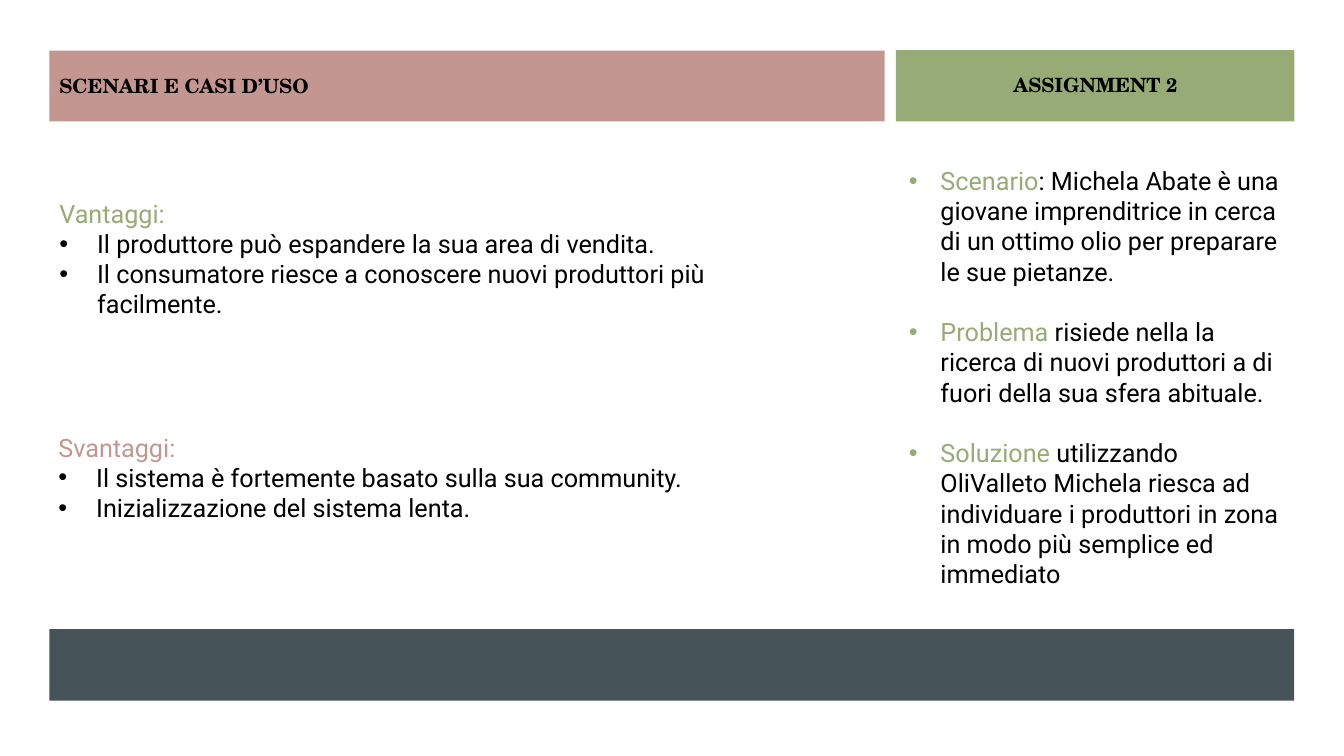
"""Build the slide on use cases, with advantages, drawbacks and a scenario."""
from pptx import Presentation
from pptx.dml.color import RGBColor
from pptx.enum import shapes, text
from pptx.oxml import parse_xml
from pptx.oxml.ns import nsdecls
from pptx.util import Pt

ROSE, GREEN, SLATE, WHITE, BLACK = "C39790", "96AB75", "465359", "FFFFFF", "000000"
HEADING, BODY = "TeX Gyre Schola", "Roboto"


def colour(value):
    """Turn a hex string into a colour."""
    return RGBColor.from_string(value)


def add_panel(slide, left, top, width, height, fill):
    """Add a plain filled rectangle."""
    panel = slide.shapes.add_shape(
        shapes.MSO_SHAPE.RECTANGLE, Pt(left), Pt(top), Pt(width), Pt(height))
    panel.shadow.inherit = False
    panel.fill.solid()
    panel.fill.fore_color.rgb = colour(fill)
    panel.line.fill.background()
    return panel


def add_textbox(slide, left, top, width, height, anchor):
    """Add a wrapping text box and return its text frame."""
    frame = slide.shapes.add_textbox(Pt(left), Pt(top), Pt(width), Pt(height)).text_frame
    frame.word_wrap = True
    frame.vertical_anchor = anchor
    return frame


def add_run(paragraph, words, ink, size=18, font=BODY, bold=False):
    """Add one run of formatted text."""
    run = paragraph.add_run()
    run.text = words
    run.font.size = Pt(size)
    run.font.name = font
    run.font.bold = bold
    run.font.color.rgb = colour(ink)


def set_bullet(paragraph, indent):
    """Give a paragraph a round bullet with a hanging indent."""
    props = paragraph._p.get_or_add_pPr()
    props.set("marL", str(Pt(indent)))
    props.set("indent", str(-Pt(indent)))
    props.append(parse_xml(f'<a:buFont {nsdecls("a")} typeface="Arial"/>'))
    props.append(parse_xml(f'<a:buChar {nsdecls("a")} char="•"/>'))


def add_heading(slide, left, top, width, height, words, align):
    """Add a bold heading over a coloured band."""
    frame = add_textbox(slide, left, top, width, height, text.MSO_ANCHOR.MIDDLE)
    paragraph = frame.paragraphs[0]
    paragraph.alignment = align
    add_run(paragraph, words, BLACK, 14, HEADING, True)


def add_points(slide, left, top, width, label, ink, points):
    """Add a white panel with a coloured label and bulleted points."""
    frame = add_panel(slide, left, top, width, 117.4, WHITE).text_frame
    frame.word_wrap = True
    frame.vertical_anchor = text.MSO_ANCHOR.MIDDLE
    title = frame.paragraphs[0]
    title.alignment = text.PP_ALIGN.LEFT
    add_run(title, label, ink)
    for point in points:
        paragraph = frame.add_paragraph()
        paragraph.alignment = text.PP_ALIGN.LEFT
        set_bullet(paragraph, 27)
        add_run(paragraph, point, BLACK)


def add_story(slide, parts):
    """Add the scenario column, each part led by a green keyword."""
    frame = add_textbox(slide, 642.2, 114.5, 282.2, 290.9, text.MSO_ANCHOR.TOP)
    for index, (keyword, words) in enumerate(parts):
        paragraph = frame.add_paragraph() if index else frame.paragraphs[0]
        paragraph.space_before = Pt(21.6 if index else 0)
        set_bullet(paragraph, 22.5)
        add_run(paragraph, keyword, GREEN)
        add_run(paragraph, words, BLACK)


def main():
    """Build and save the slide."""
    deck = Presentation()
    deck.slide_width, deck.slide_height = Pt(960), Pt(540)
    slide = deck.slides.add_slide(deck.slide_layouts[6])

    add_panel(slide, 0, 0, 960, 540, WHITE)
    add_panel(slide, 35.3, 36.2, 596.7, 50.6, ROSE)
    add_panel(slide, 640, 35.8, 284.6, 51, GREEN)
    add_panel(slide, 35.3, 449.4, 889.1, 51, SLATE)

    add_heading(slide, 642.2, 36.7, 280.8, 48.2, "ASSIGNMENT 2", text.PP_ALIGN.CENTER)
    add_heading(slide, 35.3, 37.8, 569.5, 46.8, "SCENARI E CASI D’USO", text.PP_ALIGN.LEFT)

    add_story(slide, [
        ("Scenario", ": Michela Abate è una giovane imprenditrice in cerca di un "
                     "ottimo olio per preparare le sue pietanze."),
        ("Problema", " risiede nella la ricerca di nuovi produttori a di fuori "
                     "della sua sfera abituale."),
        ("Soluzione ", "utilizzando OliValleto Michela riesca ad individuare i "
                       "produttori in zona in modo più semplice ed immediato"),
    ])
    add_points(slide, 35.3, 126, 553, "Vantaggi:", GREEN, [
        "Il produttore può espandere la sua area di vendita.",
        "Il consumatore riesce a conoscere nuovi produttori più facilmente.",
    ])
    add_points(slide, 34.6, 282.2, 553.7, "Svantaggi:", ROSE, [
        "Il sistema è fortemente basato sulla sua community.",
        "Inizializzazione del sistema lenta.",
    ])
    deck.save("out.pptx")


if __name__ == "__main__":
    main()
